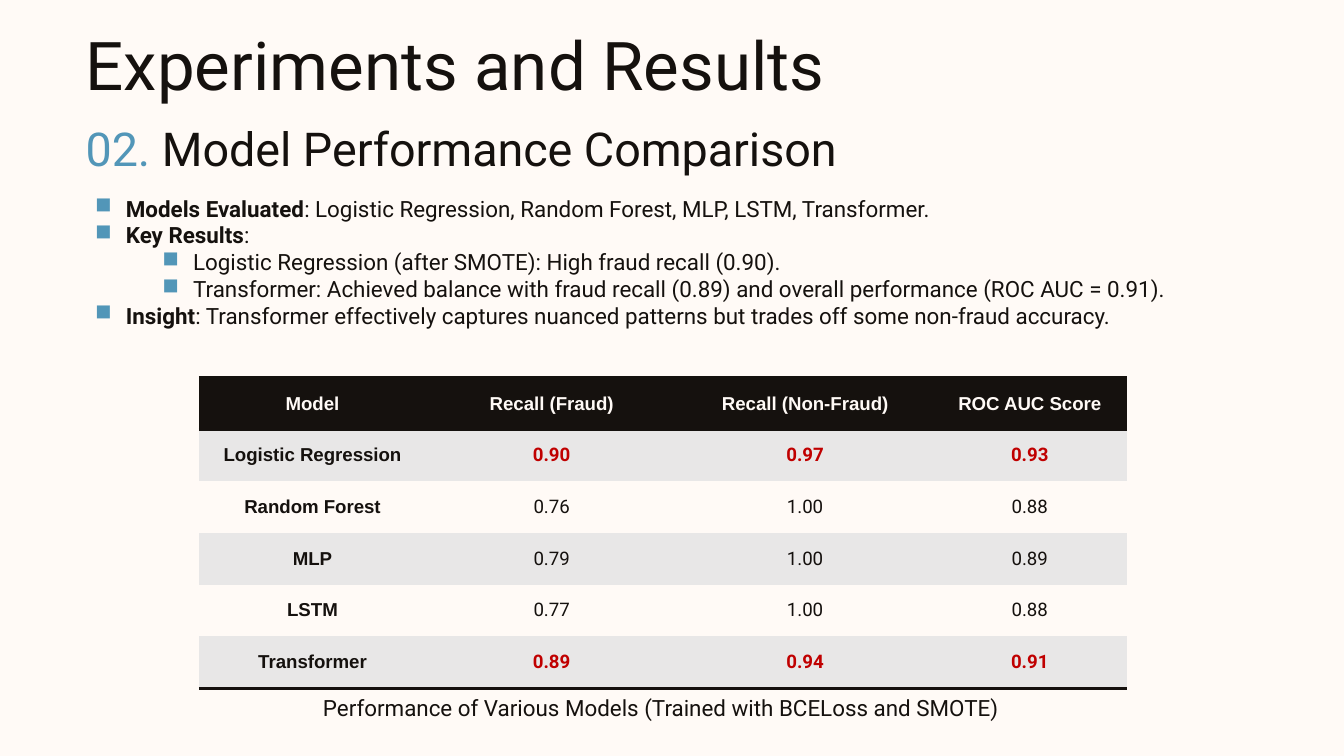
from dataclasses import dataclass

from lxml.etree import SubElement
from pptx import Presentation
from pptx.dml.color import RGBColor
from pptx.enum.text import MSO_ANCHOR as Anchor, MSO_AUTO_SIZE as AutoSize, PP_ALIGN as Align
from pptx.oxml import parse_xml
from pptx.oxml.ns import nsdecls, qn
from pptx.util import Cm, Pt


@dataclass(frozen=True)
class Theme:
    background: str = "FFFAF6"
    ink: str = "15110E"
    accent: str = "5296B8"
    highlight: str = "C00000"
    band: str = "E8E7E7"
    body_font: str = "Roboto"
    label_font: str = "Arial"
    title_size: int = 36
    subtitle_size: int = 25
    body_size: int = 12
    table_size: int = 10
    rule_width: int = 2


THEME = Theme()
PLAIN_TABLE_STYLE = "{2D5ABB26-0587-4C30-8999-92F81FD0307C}"

BULLETS = [
    (0, "Models Evaluated", ": Logistic Regression, Random Forest, MLP, LSTM, Transformer."),
    (0, "Key Results", ":"),
    (1, "", "Logistic Regression (after SMOTE): High fraud recall (0.90)."),
    (1, "", "Transformer: Achieved balance with fraud recall (0.89) "
            "and overall performance (ROC AUC = 0.91)."),
    (0, "Insight", ": Transformer effectively captures nuanced patterns "
                   "but trades off some non-fraud accuracy."),
]
SCORES = [
    ("Model", "Recall (Fraud)", "Recall (Non-Fraud)", "ROC AUC Score"),
    ("Logistic Regression", "0.90", "0.97", "0.93"),
    ("Random Forest", "0.76", "1.00", "0.88"),
    ("MLP", "0.79", "1.00", "0.89"),
    ("LSTM", "0.77", "1.00", "0.88"),
    ("Transformer", "0.89", "0.94", "0.91"),
]
HIGHLIGHTED_MODELS = {"Logistic Regression", "Transformer"}
COLUMN_SHARES = (4.29, 4.75, 4.83, 3.66)


def add_run(paragraph, text, size, color=THEME.ink, bold=False, font=THEME.body_font):
    run = paragraph.add_run()
    run.text = text
    run.font.name = font
    run.font.size = Pt(size)
    run.font.bold = bold
    run.font.color.rgb = RGBColor.from_string(color)


def format_frame(frame, anchor=Anchor.TOP, inset=0.25):
    frame.word_wrap = True
    frame.auto_size = AutoSize.NONE
    frame.vertical_anchor = anchor
    frame.margin_left = frame.margin_right = Cm(inset)
    frame.margin_top = frame.margin_bottom = Cm(min(inset, 0.25))
    return frame


def add_text_frame(slide, box, anchor=Anchor.TOP):
    return format_frame(slide.shapes.add_textbox(*map(Cm, box)).text_frame, anchor)


def set_bullet(paragraph, level):
    paragraph.level = level
    properties = paragraph._p.get_or_add_pPr()
    properties.set("marL", str(Cm(0.76 + 1.27 * level)))
    properties.set("indent", str(Cm(-0.58)))
    color = SubElement(properties, qn("a:buClr"))
    SubElement(color, qn("a:srgbClr"), val=THEME.accent)
    SubElement(properties, qn("a:buChar"), char="■")


def set_rule(cell, side):
    cell._tc.get_or_add_tcPr().insert(0, parse_xml(
        f'<a:{side} {nsdecls("a")} w="{Pt(THEME.rule_width)}"><a:solidFill>'
        f'<a:srgbClr val="{THEME.ink}"/></a:solidFill></a:{side}>'))


def place_title(slide, box):
    title = slide.shapes.title
    title.left, title.top, title.width, title.height = map(Cm, box)
    paragraph = format_frame(title.text_frame).paragraphs[0]
    paragraph.alignment = Align.LEFT
    add_run(paragraph, "Experiments and Results", THEME.title_size)


def place_subtitle(slide, box):
    paragraph = add_text_frame(slide, box, Anchor.MIDDLE).paragraphs[0]
    add_run(paragraph, "02. ", THEME.subtitle_size, THEME.accent)
    add_run(paragraph, "Model Performance Comparison", THEME.subtitle_size)


def place_bullets(slide, box):
    frame = add_text_frame(slide, box)
    for index, (level, lead, text) in enumerate(BULLETS):
        paragraph = frame.add_paragraph() if index else frame.paragraphs[0]
        set_bullet(paragraph, level)
        if lead:
            add_run(paragraph, lead, THEME.body_size, bold=True)
        add_run(paragraph, text, THEME.body_size)


def fill_cell(cell, text, row, column, highlighted):
    header, label = row == 0, column == 0
    cell.vertical_anchor = Anchor.MIDDLE
    cell.fill.solid()
    fill = THEME.ink if header else THEME.band if row % 2 else THEME.background
    cell.fill.fore_color.rgb = RGBColor.from_string(fill)
    color = THEME.ink
    if header:
        color = THEME.background
    elif highlighted and not label:
        color = THEME.highlight
    paragraph = cell.text_frame.paragraphs[0]
    paragraph.alignment = Align.CENTER
    add_run(paragraph, text, THEME.table_size, color, header or label or highlighted,
            THEME.label_font if header or label else THEME.body_font)
    if header or row == len(SCORES) - 1:
        set_rule(cell, "lnB")
    if header:
        set_rule(cell, "lnT")


def place_scores(slide, box):
    width, height = box[2:]
    shape = slide.shapes.add_table(len(SCORES), len(COLUMN_SHARES), *map(Cm, box))
    next(shape.element.iter(qn("a:tableStyleId"))).text = PLAIN_TABLE_STYLE
    table = shape.table
    table.first_row = table.horz_banding = False
    for column, share in zip(table.columns, COLUMN_SHARES):
        column.width = Cm(width * share / sum(COLUMN_SHARES))
    for row, values in enumerate(SCORES):
        table.rows[row].height = Cm(height / len(SCORES))
        for column, text in enumerate(values):
            fill_cell(table.cell(row, column), text, row, column,
                      values[0] in HIGHLIGHTED_MODELS)


def place_caption(slide, box):
    frame = add_text_frame(slide, box)
    frame.margin_top = frame.margin_bottom = Cm(0.13)
    frame.auto_size = AutoSize.SHAPE_TO_FIT_TEXT
    paragraph = frame.paragraphs[0]
    paragraph.alignment = Align.CENTER
    add_run(paragraph, "Performance of Various Models (Trained with BCELoss and SMOTE)",
            THEME.body_size)


def main():
    presentation = Presentation()
    presentation.slide_width, presentation.slide_height = Cm(25.4), Cm(14.29)
    slide = presentation.slides.add_slide(presentation.slide_layouts[5])
    slide.background.fill.solid()
    slide.background.fill.fore_color.rgb = RGBColor.from_string(THEME.background)
    place_subtitle(slide, (1.37, 2.16, 20.35, 1.27))
    place_bullets(slide, (1.37, 3.43, 22.68, 3.02))
    place_title(slide, (1.37, 0.2, 21.44, 1.96))
    place_scores(slide, (3.76, 7.14, 17.53, 5.87))
    place_caption(slide, (5.36, 13, 14.27, 0.76))
    presentation.save("out.pptx")


if __name__ == "__main__":
    main()
